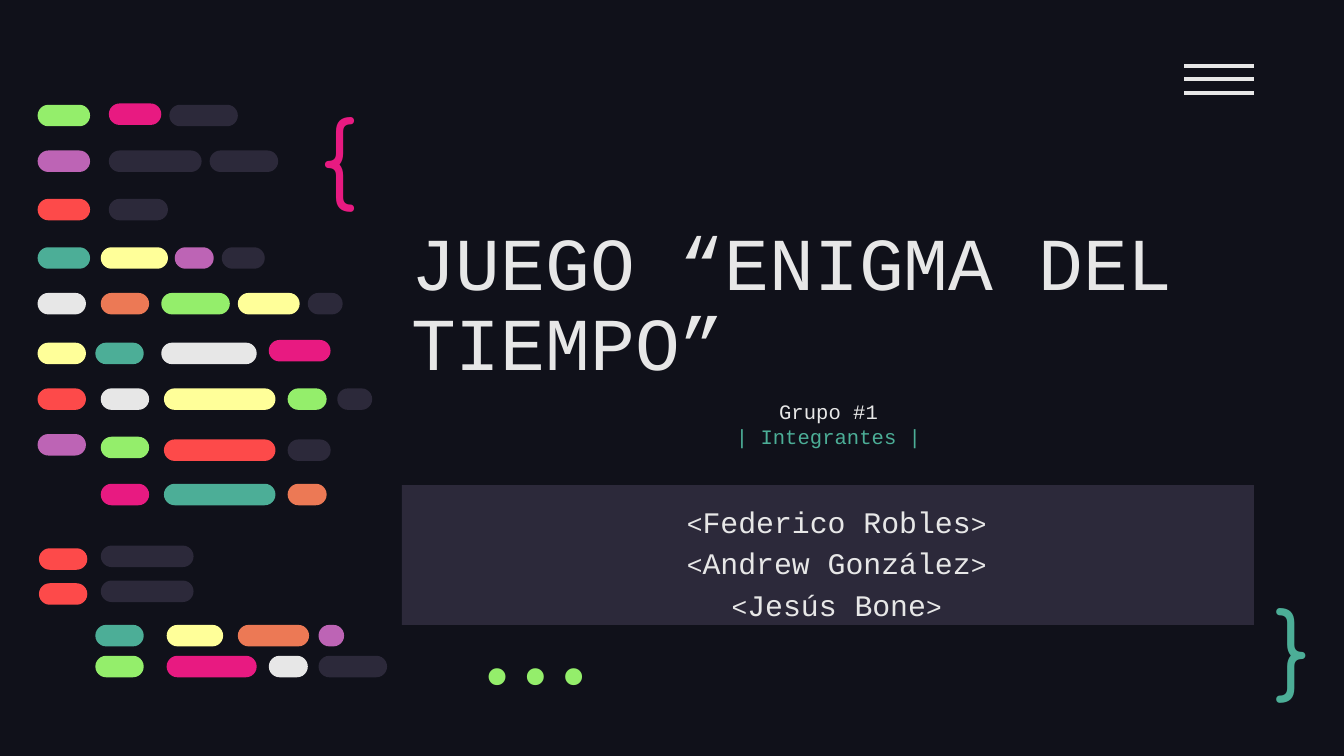
from dataclasses import dataclass

from lxml import etree
from pptx import Presentation
from pptx.dml.color import RGBColor
from pptx.enum.shapes import MSO_CONNECTOR, MSO_SHAPE
from pptx.enum.text import MSO_ANCHOR, MSO_AUTO_SIZE, PP_ALIGN
from pptx.oxml.ns import qn
from pptx.util import Inches, Pt

LEFT, CENTER, RIGHT = PP_ALIGN.LEFT, PP_ALIGN.CENTER, PP_ALIGN.RIGHT
TOP, MIDDLE, BOTTOM = MSO_ANCHOR.TOP, MSO_ANCHOR.MIDDLE, MSO_ANCHOR.BOTTOM
RECTANGLE, ROUNDED = MSO_SHAPE.RECTANGLE, MSO_SHAPE.ROUNDED_RECTANGLE


@dataclass(frozen=True)
class Theme:
    night: str = "10111A"
    slate: str = "2C293A"
    white: str = "E7E7E7"
    green: str = "94EE6B"
    pink: str = "E81A81"
    purple: str = "BD64B5"
    red: str = "FD4A4A"
    teal: str = "4CAE97"
    yellow: str = "FFFF99"
    orange: str = "EC7955"
    code_font: str = "Courier New"
    brace_font: str = "Comfortaa"
    dots_font: str = "Fira Code"
    title_size: int = 40
    symbol_size: int = 50
    name_size: int = 16
    bracket_size: int = 14
    group_size: int = 11
    menu_line: float = 2.25


THEME = Theme()

# (top, [(left, width, colour), ...]) measured from the corner of the code block
CODE_ROWS = [
    (0.01, [(0, 0.39, "green"), (0.98, 0.51, "slate")]),
    (0, [(0.53, 0.39, "pink")]),
    (0.35, [(0, 0.39, "purple"), (0.53, 0.69, "slate"), (1.28, 0.51, "slate")]),
    (0.71, [(0, 0.39, "red"), (0.53, 0.44, "slate")]),
    (1.07, [(0, 0.39, "teal"), (0.47, 0.5, "yellow"), (1.02, 0.29, "purple"),
            (1.37, 0.32, "slate")]),
    (1.41, [(0, 0.36, "white"), (0.47, 0.36, "orange"), (0.92, 0.51, "green"),
            (1.49, 0.46, "yellow"), (2.01, 0.26, "slate")]),
    (1.78, [(0, 0.36, "yellow"), (0.43, 0.36, "teal"), (0.92, 0.71, "white")]),
    (1.76, [(1.72, 0.46, "pink")]),
    (2.12, [(0, 0.36, "red"), (0.47, 0.36, "white"), (0.94, 0.83, "yellow"),
            (1.86, 0.29, "green"), (2.23, 0.26, "slate")]),
    (2.46, [(0, 0.36, "purple")]),
    (2.48, [(0.47, 0.36, "green")]),
    (2.5, [(0.94, 0.83, "red"), (1.86, 0.32, "slate")]),
    (2.83, [(0.47, 0.36, "pink"), (0.94, 0.83, "teal"), (1.86, 0.29, "orange")]),
    (3.29, [(0.47, 0.69, "slate")]),
    (3.31, [(0.01, 0.36, "red")]),
    (3.55, [(0.47, 0.69, "slate")]),
    (3.57, [(0.01, 0.36, "red")]),
    (3.88, [(0.43, 0.36, "teal"), (0.96, 0.42, "yellow"), (1.49, 0.53, "orange"),
            (2.09, 0.19, "purple")]),
    (4.11, [(0.43, 0.36, "green"), (0.96, 0.67, "pink"), (1.72, 0.29, "white"),
            (2.09, 0.51, "slate")]),
]
PILL_HEIGHT = 0.16


def rgb(colour):
    return RGBColor.from_string(colour)


def set_font(font, size, colour, name=THEME.code_font):
    font.name, font.size = name, Pt(size)
    font.color.rgb = rgb(colour)


def set_frame(frame, anchor):
    frame.word_wrap = True
    frame.auto_size = MSO_AUTO_SIZE.NONE
    frame.vertical_anchor = anchor
    frame.margin_left = frame.margin_right = Inches(0.1)
    frame.margin_top = frame.margin_bottom = Inches(0.1)


def add_block(slide, kind, box, colour):
    block = slide.shapes.add_shape(kind, *map(Inches, box))
    block.shadow.inherit = False
    block.fill.solid()
    block.fill.fore_color.rgb = rgb(colour)
    block.line.fill.background()
    return block


def add_text_frame(slide, box, anchor=TOP):
    frame = slide.shapes.add_textbox(*map(Inches, box)).text_frame
    set_frame(frame, anchor)
    return frame


def place_title(slide, box, text):
    title = slide.shapes.title
    title.left, title.top, title.width, title.height = map(Inches, box)
    set_frame(title.text_frame, BOTTOM)
    title.text_frame.text = text
    heading = title.text_frame.paragraphs[0]
    heading.alignment, heading.line_spacing = LEFT, 0.9
    heading.space_before = Pt(0)
    set_font(heading.font, THEME.title_size, THEME.white)


def add_members(slide, box, names):
    frame = add_block(slide, RECTANGLE, box, THEME.slate).text_frame
    set_frame(frame, TOP)
    frame.margin_left = Inches(0.23)
    for index, name in enumerate(names):
        member = frame.add_paragraph() if index else frame.paragraphs[0]
        member.alignment, member.line_spacing = CENTER, 1.15
        for part, size in (("<", THEME.bracket_size), (name, THEME.name_size),
                           (">", THEME.bracket_size)):
            run = member.add_run()
            run.text = part
            set_font(run.font, size, THEME.white)


def add_group_label(slide, box, group, caption):
    label = add_text_frame(slide, box).paragraphs[0]
    label.alignment = CENTER
    for text, colour in ((group, THEME.white), (caption, THEME.teal)):
        if label.runs:
            label.add_line_break()
        run = label.add_run()
        run.text = text
        set_font(run.font, THEME.group_size, colour)


def add_symbol(slide, box, text, colour, font, anchor=TOP, align=LEFT):
    symbol = add_text_frame(slide, box, anchor).paragraphs[0]
    symbol.text, symbol.alignment = text, align
    set_font(symbol.font, THEME.symbol_size, colour, font)


def add_menu_icon(slide, box):
    left, top, width, height = box
    for step in range(3):
        y = Inches(top + step * height / 2)
        bar = slide.shapes.add_connector(
            MSO_CONNECTOR.STRAIGHT, Inches(left), y, Inches(left + width), y)
        bar.line.color.rgb = rgb(THEME.white)
        bar.line.width = Pt(THEME.menu_line)
        etree.SubElement(bar._element.spPr, qn("a:effectLst"))


def add_code_block(slide, left, top):
    """Draw lines of code as coloured pills."""
    for row_top, pills in CODE_ROWS:
        for offset, width, colour in pills:
            box = (left + offset, top + row_top, width, PILL_HEIGHT)
            pill = add_block(slide, ROUNDED, box, getattr(THEME, colour))
            pill.adjustments[0] = 0.5


def build_cover(slide):
    slide.background.fill.solid()
    slide.background.fill.fore_color.rgb = rgb(THEME.night)
    place_title(slide, (2.96, 1.36, 6.34, 1.62), "JUEGO “ENIGMA DEL TIEMPO”")
    add_members(slide, (2.99, 3.61, 6.34, 1.04),
                ["Federico Robles", "Andrew González", "Jesús Bone"])
    add_symbol(slide, (2.29, 0.62, 0.77, 0.95), "{", THEME.pink, THEME.brace_font)
    add_symbol(slide, (9.39, 4.38, 0.57, 0.83), "}", THEME.teal, THEME.brace_font, MIDDLE)
    add_symbol(slide, (3.15, 4.73, 1.58, 0.6), "...", THEME.green, THEME.dots_font,
               BOTTOM, RIGHT)
    add_menu_icon(slide, (8.81, 0.49, 0.52, 0.2))
    add_code_block(slide, 0.28, 0.77)
    add_group_label(slide, (4.49, 2.87, 3.35, 0.5), "Grupo #1", "| Integrantes |")


def main():
    deck = Presentation()
    deck.slide_width, deck.slide_height = Inches(10), Inches(10 * 9 / 16)
    title_only = deck.slide_layouts[5]
    build_cover(deck.slides.add_slide(title_only))
    deck.save("out.pptx")


if __name__ == "__main__":
    main()
